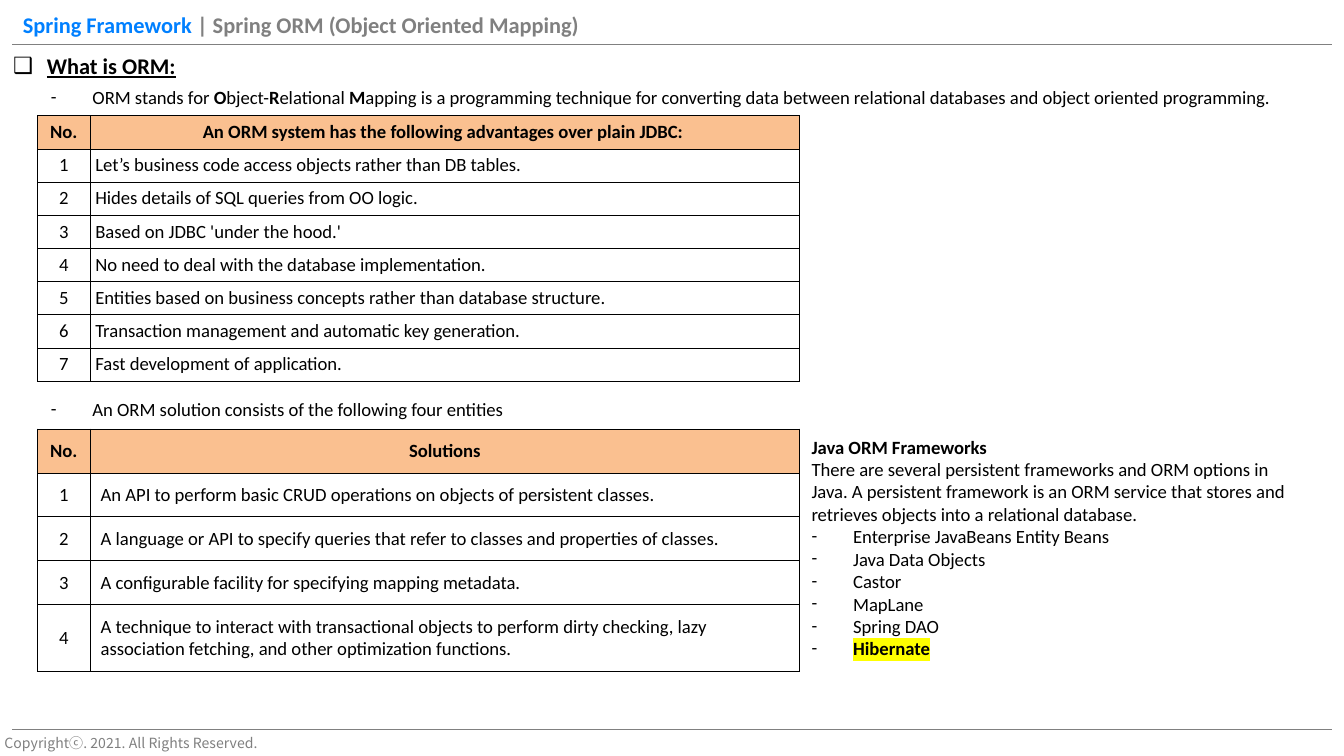
import lxml.etree
import pptx
import pptx.dml.color
import pptx.enum.shapes
import pptx.enum.text
import pptx.oxml
import pptx.oxml.ns
import pptx.util

Inches = pptx.util.Inches
Pt = pptx.util.Pt
RGBColor = pptx.dml.color.RGBColor
Align = pptx.enum.text.PP_ALIGN
Anchor = pptx.enum.text.MSO_ANCHOR
qn = pptx.oxml.ns.qn

BLACK = RGBColor(0x00, 0x00, 0x00)
BLUE = RGBColor(0x00, 0x80, 0xFF)
GRAY = RGBColor(0x80, 0x80, 0x80)
FOOTER_GRAY = RGBColor(0x7F, 0x7F, 0x7F)
ORANGE = RGBColor(0xFA, 0xC0, 0x90)
YELLOW = RGBColor(0xFF, 0xFF, 0x00)

ADVANTAGES = [
    "Let’s business code access objects rather than DB tables.",
    "Hides details of SQL queries from OO logic.",
    "Based on JDBC 'under the hood.'",
    "No need to deal with the database implementation.",
    "Entities based on business concepts rather than database structure.",
    "Transaction management and automatic key generation.",
    "Fast development of application.",
]
SOLUTIONS = [
    "An API to perform basic CRUD operations on objects of persistent classes.",
    "A language or API to specify queries that refer to classes and properties of classes.",
    "A configurable facility for specifying mapping metadata.",
    "A technique to interact with transactional objects to perform dirty checking, "
    "lazy association fetching, and other optimization functions.",
]
FRAMEWORKS = ["Enterprise JavaBeans Entity Beans", "Java Data Objects", "Castor",
              "MapLane", "Spring DAO"]


def add_span(para, text, size=10, color=BLACK, bold=False, underline=None,
             highlight=None, font="Calibri"):
    """Add one formatted run to a paragraph."""
    span = para.add_run()
    span.text = text
    span.font.size = Pt(size)
    span.font.name = font
    span.font.bold = bold
    span.font.underline = underline
    span.font.color.rgb = color
    properties = span.font._element
    if highlight is not None:
        mark = lxml.etree.Element(qn("a:highlight"))
        lxml.etree.SubElement(mark, qn("a:srgbClr"), val=str(highlight))
        properties.find(qn("a:solidFill")).addnext(mark)
    if font != "Calibri":
        latin = properties.find(qn("a:latin"))
        latin.addnext(lxml.etree.Element(qn("a:ea"), typeface=font))


def add_bullet(para, symbol="-", indent=0.31, size=10):
    """Give a paragraph a hanging bullet."""
    properties = para._p.get_or_add_pPr()
    properties.set("marL", str(Inches(indent)))
    properties.set("indent", str(-Inches(indent)))
    lxml.etree.SubElement(properties, qn("a:buFont"), typeface="Calibri")
    lxml.etree.SubElement(properties, qn("a:buChar"), char=symbol)
    ending = lxml.etree.SubElement(para._p, qn("a:endParaRPr"))
    ending.set("sz", str(size * 100))


def add_text_box(page, left, top, width, height, margins=(0.1, 0.05),
                 anchor=Anchor.TOP, wrap=True):
    """Add an empty text box and return its text frame."""
    box = page.shapes.add_textbox(Inches(left), Inches(top), Inches(width), Inches(height))
    frame = box.text_frame
    frame.word_wrap = wrap
    frame.vertical_anchor = anchor
    frame.margin_left = frame.margin_right = Inches(margins[0])
    frame.margin_top = frame.margin_bottom = Inches(margins[1])
    return frame


def add_rule(page, left, top, width):
    """Draw a thin horizontal gray rule."""
    rule = page.shapes.add_connector(
        pptx.enum.shapes.MSO_CONNECTOR.STRAIGHT,
        Inches(left), Inches(top), Inches(left + width), Inches(top))
    rule.line.color.rgb = GRAY
    rule.line.width = Pt(0.75)
    lxml.etree.SubElement(rule._element.spPr, qn("a:effectLst"))


def add_header(page, left, top, width, height):
    """Place the page title and the rule under it."""
    add_rule(page, left + 0.09, top + 0.33, width - 0.18)
    frame = add_text_box(page, left, top, 6.26, height, (0.17, 0.09), Anchor.MIDDLE)
    para = frame.paragraphs[0]
    add_span(para, "Spring Framework ", 12, BLUE, True)
    add_span(para, "| Spring ORM (Object Oriented Mapping)", 12, GRAY, True)


def add_footer(page, left, top, width, height):
    """Place the footer rule and the copyright line."""
    add_rule(page, left + 0.09, top, width - 0.18)
    frame = add_text_box(page, left, top, 1.95, height, (0.03, 0.03), Anchor.MIDDLE, False)
    para = frame.paragraphs[0]
    para.alignment = Align.CENTER
    add_span(para, "Copyrightⓒ. 2021. All Rights Reserved.", 7.5, FOOTER_GRAY,
             font="Noto Sans CJK KR")


def add_bullet_line(page, left, top, width, height, spans, symbol="-", indent=0.31, size=10):
    """Place a single bulleted line made of (text, format) spans."""
    para = add_text_box(page, left, top, width, height).paragraphs[0]
    add_bullet(para, symbol, indent, size)
    for text, style in spans:
        add_span(para, text, size, **style)


def fill_cell(cell, text, margin, centered, header):
    """Write, border and fill one table cell."""
    cell.margin_left = cell.margin_right = Inches(margin)
    cell.margin_top = cell.margin_bottom = Inches(margin)
    para = cell.text_frame.paragraphs[0]
    para.alignment = Align.CENTER if centered else Align.LEFT
    add_span(para, text, bold=header)
    properties = cell._tc.get_or_add_tcPr()
    for side in ("lnL", "lnR", "lnT", "lnB"):
        border = lxml.etree.SubElement(properties, qn("a:" + side), w=str(Pt(0.25)))
        paint = lxml.etree.SubElement(border, qn("a:solidFill"))
        lxml.etree.SubElement(paint, qn("a:srgbClr"), val=str(BLACK))
    if header:
        cell.fill.solid()
        cell.fill.fore_color.rgb = ORANGE
    else:
        cell.fill.background()


def add_numbered_table(page, left, top, width, height, row_height, title, entries, margin):
    """Place a table that numbers its entries under a header row."""
    rows = [("No.", title)] + [(str(n), entry) for n, entry in enumerate(entries, 1)]
    holder = page.shapes.add_table(len(rows), 2, Inches(left), Inches(top),
                                   Inches(width), Inches(height))
    table = holder.table
    table.horz_banding = False
    table.columns[0].width = Inches(0.39)
    table.columns[1].width = Inches(width - 0.39)
    for index, (number, text) in enumerate(rows):
        table.rows[index].height = Inches(row_height)
        header = index == 0
        fill_cell(table.cell(index, 0), number, margin, True, header)
        table.cell(index, 0).vertical_anchor = Anchor.MIDDLE
        fill_cell(table.cell(index, 1), text, margin, header, header)
    holder.height = Inches(height)


def add_frameworks(page, left, top, width, height):
    """Place the description and list of ORM frameworks."""
    frame = add_text_box(page, left, top, width, height)
    add_span(frame.paragraphs[0], "Java ORM Frameworks", bold=True)
    add_span(frame.add_paragraph(),
             "There are several persistent frameworks and ORM options in Java. "
             "A persistent framework is an ORM service that stores and retrieves "
             "objects into a relational database.")
    items = [(name, {}) for name in FRAMEWORKS]
    items.append(("Hibernate", {"bold": True, "highlight": YELLOW}))
    for name, style in items:
        para = frame.add_paragraph()
        add_bullet(para)
        add_span(para, name, **style)


def main():
    """Build and save the deck."""
    deck = pptx.Presentation()
    deck.slide_width = Inches(10)
    deck.slide_height = deck.slide_width * 9 // 16
    page = deck.slides.add_slide(deck.slide_layouts[6])
    bold = {"bold": True}
    add_header(page, 0, 0, 10, 0.37)
    add_footer(page, 0, 5.43, 10, 0.19)
    add_bullet_line(page, 0, 0.34, 9.99, 0.3,
                    [("What is ORM:", {"bold": True, "underline": True})], "❑", 0.25, 12)
    add_bullet_line(page, 0.28, 0.59, 9.45, 0.27, [
        ("ORM stands for ", {}), ("O", bold), ("bject-", {}), ("R", bold),
        ("elational ", {}), ("M", bold),
        ("apping is a programming technique for converting data between "
         "relational databases and object oriented programming.", {})])
    add_numbered_table(page, 0.28, 0.86, 5.67, 2.03, 0.21,
                       "An ORM system has the following advantages over plain JDBC: ",
                       ADVANTAGES, 0.04)
    add_numbered_table(page, 0.28, 3.19, 5.67, 1.83, 0, "Solutions", SOLUTIONS, 0.08)
    add_bullet_line(page, 0.28, 2.91, 5.01, 0.27,
                    [("An ORM solution consists of the following four entities", {})])
    add_frameworks(page, 5.94, 3.19, 3.86, 1.78)
    deck.save("out.pptx")


if __name__ == "__main__":
    main()
